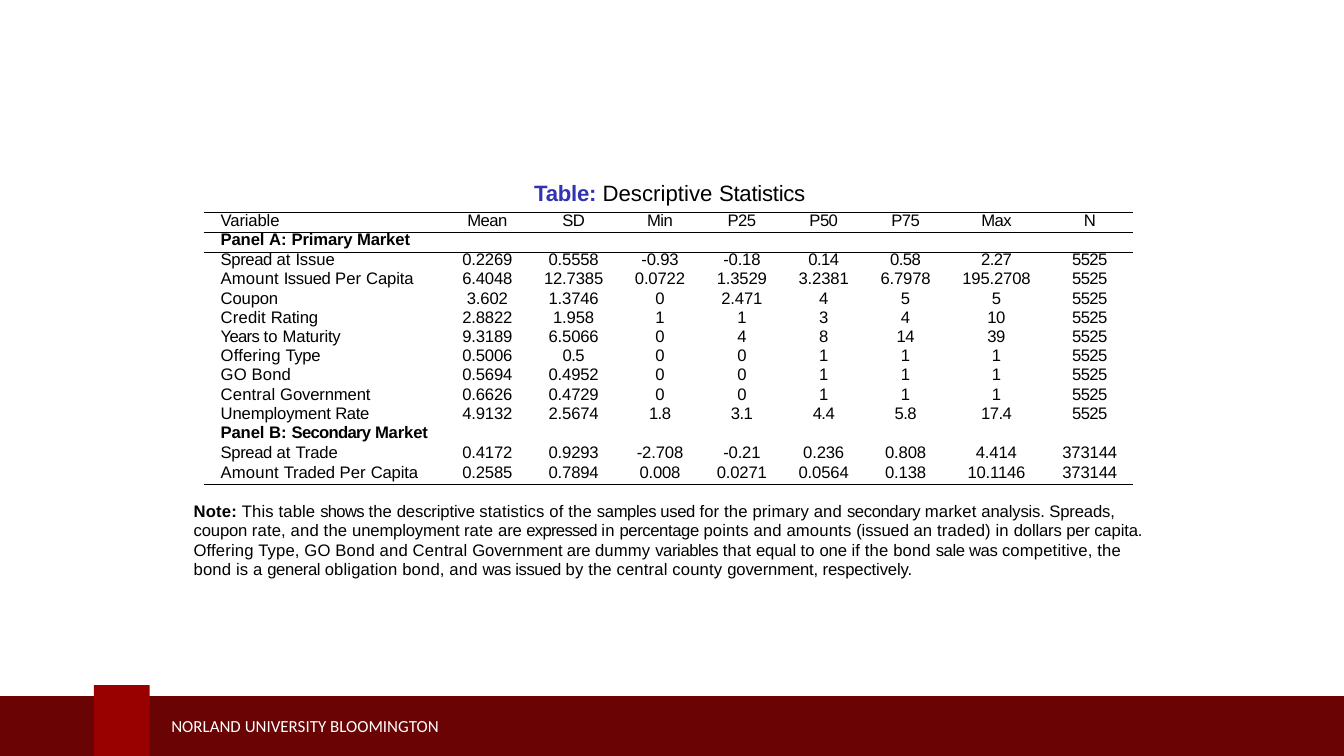
import itertools
from typing import NamedTuple

import lxml.etree
import pptx
import pptx.dml.color
import pptx.enum.shapes
import pptx.enum.text
import pptx.oxml.ns
import pptx.slide
import pptx.table
import pptx.text.text
import pptx.util

# Lengths are columns and rows of a grid with a pitch of 0.01 inch
SLIDE_WIDTH, SLIDE_HEIGHT = pptx.util.Pt(484.5), pptx.util.Pt(272.5)
CELL = pptx.util.Inches(0.01)
COLOURS = {"crimson": "990000", "maroon": "690304", "blue": "3333B2",
           "black": "000000", "white": "FFFFFF"}
ALIGN = pptx.enum.text.PP_ALIGN
NO_STYLE = "{2D5ABB26-0587-4C30-8999-92F81FD0307C}"


class Area(NamedTuple):
    left: float
    top: float
    width: float
    height: float

    def lengths(self) -> list[int]:
        return [int(CELL * steps) for steps in self]


class Block(NamedTuple):
    area: Area
    colour: str


class Span(NamedTuple):
    text: str
    bold: bool = False
    colour: str = "black"


# Content
FOOTER_BLOCKS = [Block(Area(-2, 348.5, 679, 34), "maroon"),
                 Block(Area(47, 343, 28, 39), "crimson")]
FOOTER = "NORLAND UNIVERSITY BLOOMINGTON"
CAPTION = [Span("Table: ", True, "blue"), Span("Descriptive Statistics")]
NOTE = [
    Span("Note: ", True),
    Span("This table shows the descriptive statistics of the samples used for the "
         "primary and secondary market analysis. Spreads, coupon rate, and the "
         "unemployment rate are expressed in percentage points and amounts (issued "
         "an traded) in dollars per capita. Offering Type, GO Bond and Central "
         "Government are dummy variables that equal to one if the bond sale was "
         "competitive, the bond is a general obligation bond, and was issued by the "
         "central county government, respectively."),
]
STATISTICS = [
    ["Variable", "Mean", "SD", "Min", "P25", "P50", "P75", "Max", "N"],
    ["Panel A: Primary Market"],
    ["Spread at Issue", "0.2269", "0.5558", "-0.93", "-0.18", "0.14", "0.58", "2.27", "5525"],
    ["Amount Issued Per Capita", "6.4048", "12.7385", "0.0722", "1.3529", "3.2381", "6.7978",
     "195.2708", "5525"],
    ["Coupon", "3.602", "1.3746", "0", "2.471", "4", "5", "5", "5525"],
    ["Credit Rating", "2.8822", "1.958", "1", "1", "3", "4", "10", "5525"],
    ["Years to Maturity", "9.3189", "6.5066", "0", "4", "8", "14", "39", "5525"],
    ["Offering Type", "0.5006", "0.5", "0", "0", "1", "1", "1", "5525"],
    ["GO Bond", "0.5694", "0.4952", "0", "0", "1", "1", "1", "5525"],
    ["Central Government", "0.6626", "0.4729", "0", "0", "1", "1", "1", "5525"],
    ["Unemployment Rate", "4.9132", "2.5674", "1.8", "3.1", "4.4", "5.8", "17.4", "5525"],
    ["Panel B: Secondary Market"],
    ["Spread at Trade", "0.4172", "0.9293", "-2.708", "-0.21", "0.236", "0.808", "4.414",
     "373144"],
    ["Amount Traded Per Capita", "0.2585", "0.7894", "0.008", "0.0271", "0.0564", "0.138",
     "10.1146", "373144"],
]
TABLE_AREA = Area(102, 106.5, 465, 136)
COLUMN_WIDTHS = [121.5, 41, 45.5, 41, 41, 41, 41, 50, 43.5]
LAST_ROW = len(STATISTICS) - 1
TALL_ROWS = {0, 1, LAST_ROW}
TALL_HEIGHT = 10
RULED_EDGES = {0, 1, LAST_ROW + 1}
LINE_SPACING = {0: 6.3, LAST_ROW: 6.2}

# Letter spacing of words, in hundredths of a point
NORMAL_TRACKING = 5
TRACKED_WORDS = {
    -25: "shows expressed Years Secondary",
    -15: "samples used secondary percentage variables sale was general issued "
         "Spread Issued Type Rate",
    -10: "Table: Statistics",
    -5: "descriptive analysis. Spreads, coupon unemployment are (issued dollars per "
        "capita. Government equal one government, respectively. Variable Panel Primary "
        "Market Issue Trade Traded Capita Coupon Rating Maturity Unemployment",
    0: "Descriptive",
}
TRACKING = {word: amount for amount, words in TRACKED_WORDS.items() for word in words.split()}


def colour(name: str) -> pptx.dml.color.RGBColor:
    return pptx.dml.color.RGBColor.from_string(COLOURS[name])


def word_tracking(word: str) -> int:
    return TRACKING.get(word.strip(), NORMAL_TRACKING)


def figure_tracking(figure: str) -> int:
    return -50 if len(figure) == 1 else -20 if len(figure) <= 4 else -5


def format_paragraph(para: pptx.text.text._Paragraph, size: float, font: str = "Arial",
                     ink: str = "black", indent: float = 0,
                     align: ALIGN = ALIGN.LEFT) -> None:
    para.alignment = align
    para.font.size = pptx.util.Pt(size)
    para.font.name = font
    para.font.color.rgb = colour(ink)
    para._p.get_or_add_pPr().set("marL", str(int(CELL * indent)))


def add_tracked(para: pptx.text.text._Paragraph, text: str,
                tracking: int) -> pptx.text.text._Run:
    run = para.add_run()
    run.text = text
    run._r.get_or_add_rPr().set("spc", str(tracking))
    return run


def add_span(para: pptx.text.text._Paragraph, span: Span) -> None:
    words = span.text.split(" ")
    pieces = [word + " " for word in words[:-1]] + [words[-1]]
    for tracking, group in itertools.groupby(filter(None, pieces), word_tracking):
        run = add_tracked(para, "".join(group), tracking)
        run.font.bold = span.bold
        run.font.color.rgb = colour(span.colour)


def prepare_frame(frame: pptx.text.text.TextFrame, top_inset: int) -> None:
    frame.word_wrap = True
    frame.auto_size = pptx.enum.text.MSO_AUTO_SIZE.NONE
    frame.vertical_anchor = pptx.enum.text.MSO_ANCHOR.TOP
    frame.margin_left = frame.margin_right = frame.margin_bottom = 0
    frame.margin_top = CELL * top_inset


def add_footer(page: pptx.slide.Slide) -> None:
    for block in FOOTER_BLOCKS:
        shape = page.shapes.add_shape(pptx.enum.shapes.MSO_SHAPE.RECTANGLE,
                                      *block.area.lengths())
        shape.shadow.inherit = False
        shape.fill.solid()
        shape.fill.fore_color.rgb = colour(block.colour)
        shape.line.fill.background()
    box = page.shapes.add_textbox(*Area(76, 353.5, 266, 20).lengths())
    box.text_frame.word_wrap = True
    box.text_frame.vertical_anchor = pptx.enum.text.MSO_ANCHOR.MIDDLE
    para = box.text_frame.paragraphs[0]
    para.text = FOOTER
    format_paragraph(para, 6.1, "Calibri", "white")


def add_caption(page: pptx.slide.Slide) -> None:
    title = page.shapes.title
    title.left, title.top, title.width, title.height = Area(266.5, 89, 141, 15).lengths()
    prepare_frame(title.text_frame, 1)
    para = title.text_frame.paragraphs[0]
    format_paragraph(para, 8, indent=1)
    para.space_before = pptx.util.Pt(0.9)
    for span in CAPTION:
        add_span(para, span)


def rule_cell(cell: pptx.table._Cell, row: int) -> None:
    properties = cell._tc.get_or_add_tcPr()
    for tag, edge in (("a:lnB", row + 1), ("a:lnT", row)):
        if edge in RULED_EDGES:
            line = lxml.etree.Element(pptx.oxml.ns.qn(tag), w=str(pptx.util.Pt(0.5)))
            fill = lxml.etree.SubElement(line, pptx.oxml.ns.qn("a:solidFill"))
            lxml.etree.SubElement(fill, pptx.oxml.ns.qn("a:srgbClr"), val=COLOURS["black"])
            properties.insert(0, line)


def fill_cell(cell: pptx.table._Cell, text: str, spacing: float, is_label: bool,
              is_panel: bool) -> None:
    cell.margin_left = cell.margin_right = cell.margin_top = cell.margin_bottom = 0
    cell.fill.background()
    para = cell.text_frame.paragraphs[0]
    format_paragraph(para, 6, indent=8.5 if is_label else 0,
                     align=ALIGN.LEFT if is_label else ALIGN.CENTER)
    para.line_spacing = pptx.util.Pt(spacing)
    if is_label:
        add_span(para, Span(text, is_panel))
    elif text:
        add_tracked(para, text, figure_tracking(text))
    else:
        lxml.etree.SubElement(para._p, pptx.oxml.ns.qn("a:endParaRPr"), sz="600")


def add_statistics(page: pptx.slide.Slide) -> None:
    table = page.shapes.add_table(len(STATISTICS), len(COLUMN_WIDTHS),
                                  *TABLE_AREA.lengths()).table
    table.first_row = table.horz_banding = False
    table._tbl.tblPr.find(pptx.oxml.ns.qn("a:tableStyleId")).text = NO_STYLE
    for column, width in zip(table.columns, COLUMN_WIDTHS):
        column.width = int(CELL * width)
    plain_height = ((TABLE_AREA.height - TALL_HEIGHT * len(TALL_ROWS))
                    / (len(STATISTICS) - len(TALL_ROWS)))
    for row, texts in enumerate(STATISTICS):
        table.rows[row].height = int(CELL * (TALL_HEIGHT if row in TALL_ROWS else plain_height))
        for column in range(len(COLUMN_WIDTHS)):
            cell = table.cell(row, column)
            text = texts[column] if column < len(texts) else ""
            fill_cell(cell, text, LINE_SPACING.get(row, 6), column == 0, len(texts) == 1)
            rule_cell(cell, row)


def add_note(page: pptx.slide.Slide) -> None:
    box = page.shapes.add_textbox(*Area(96, 249, 481, 42).lengths())
    prepare_frame(box.text_frame, 2)
    para = box.text_frame.paragraphs[0]
    format_paragraph(para, 6, indent=1)
    para.line_spacing = pptx.util.Pt(7)
    para.space_before = pptx.util.Pt(1.4)
    for span in NOTE:
        add_span(para, span)


def main() -> None:
    deck = pptx.Presentation()
    deck.slide_width, deck.slide_height = SLIDE_WIDTH, SLIDE_HEIGHT
    page = deck.slides.add_slide(deck.slide_layouts.get_by_name("Title Only"))
    add_footer(page)
    add_caption(page)
    add_statistics(page)
    add_note(page)
    deck.save("out.pptx")


if __name__ == "__main__":
    main()
